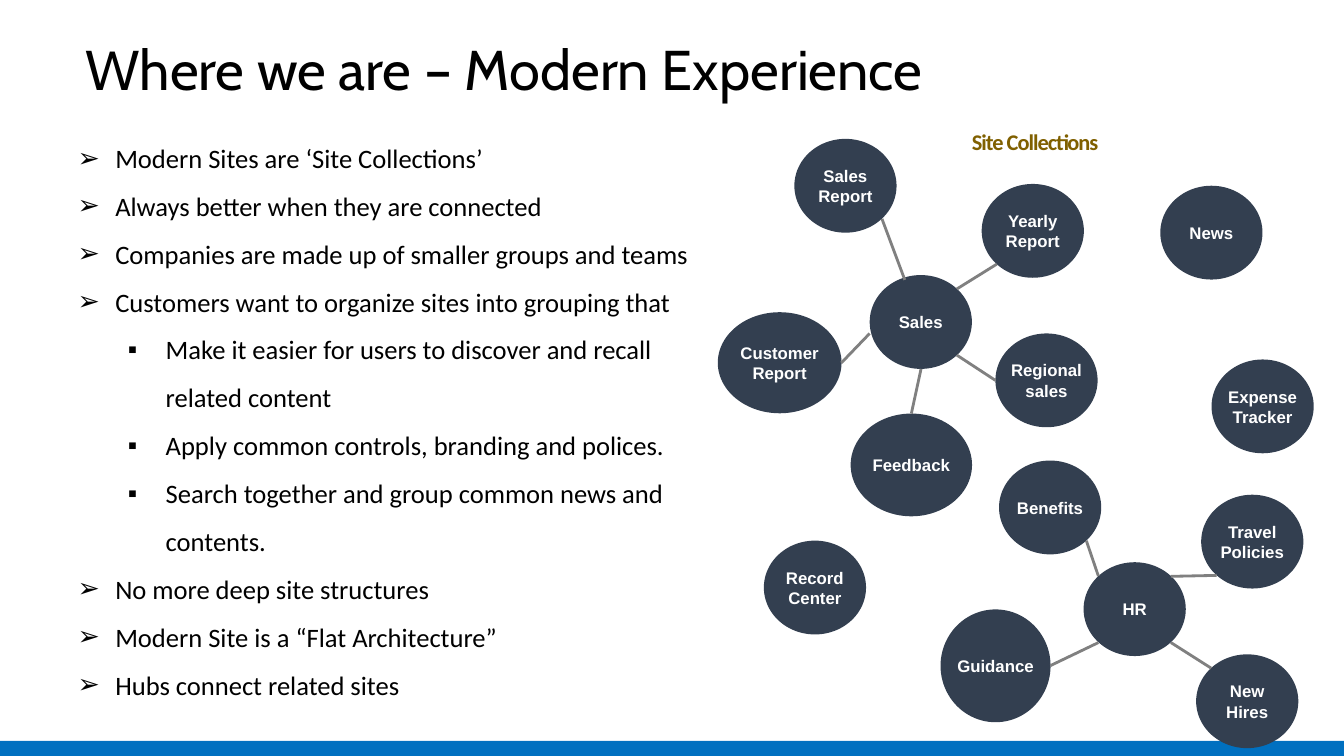
"""Build the slide on modern site collections and their hubs."""
from lxml import etree
from pptx import Presentation
from pptx.dml.color import RGBColor
from pptx.enum.shapes import MSO_CONNECTOR, MSO_SHAPE
from pptx.enum.text import MSO_ANCHOR, MSO_AUTO_SIZE, PP_ALIGN
from pptx.oxml.ns import qn
from pptx.util import Pt

BLACK = RGBColor(0x00, 0x00, 0x00)
WHITE = RGBColor(0xFF, 0xFF, 0xFF)
BLUE = RGBColor(0x00, 0x70, 0xC0)
NAVY = RGBColor(0x33, 0x3F, 0x50)
GREY = RGBColor(0x80, 0x80, 0x80)
GOLD = RGBColor(0x80, 0x60, 0x00)


def set_font(paragraph, name, size, color, bold=False):
    for run in paragraph.runs:
        run.font.name = name
        run.font.size = Pt(size)
        run.font.color.rgb = color
        run.font.bold = bold


def add_filled_shape(kind, left, top, width, height, color):
    shape = slide.shapes.add_shape(kind, Pt(left), Pt(top), Pt(width), Pt(height))
    shape.shadow.inherit = False
    shape.fill.solid()
    shape.fill.fore_color.rgb = color
    shape.line.fill.background()
    return shape


presentation = Presentation()
presentation.slide_width = Pt(960)
presentation.slide_height = Pt(540)
slide = presentation.slides.add_slide(presentation.slide_layouts[6])

add_filled_shape(MSO_SHAPE.RECTANGLE, 0, 529.2, 960, 10.8, BLUE)

title = slide.shapes.add_textbox(Pt(54), Pt(18), Pt(834), Pt(67.7))
title_frame = title.text_frame
title_frame.word_wrap = True
title_frame.vertical_anchor = MSO_ANCHOR.MIDDLE
title_frame.text = "Where we are – Modern Experience"
title_frame.paragraphs[0].line_spacing = 0.9
set_font(title_frame.paragraphs[0], "Cabin", 40, BLACK)

points = [
    (0, "Modern Sites are ‘Site Collections’"),
    (0, "Always better when they are connected"),
    (0, "Companies are made up of smaller groups and teams"),
    (0, "Customers want to organize sites into grouping that"),
    (1, "Make it easier for users to discover and recall related content"),
    (1, "Apply common controls, branding and polices."),
    (1, "Search together and group common news and contents."),
    (0, "No more deep site structures"),
    (0, "Modern Site is a “Flat Architecture”"),
    (0, "Hubs connect related sites"),
]
bullets = ["➢", "▪"]
indents = [27, 63]

body = slide.shapes.add_textbox(Pt(55.4), Pt(90), Pt(453.6), Pt(411))
body_frame = body.text_frame
body_frame.word_wrap = True
body_frame.auto_size = MSO_AUTO_SIZE.SHAPE_TO_FIT_TEXT
body_frame.margin_left = body_frame.margin_right = 0
body_frame.margin_top = body_frame.margin_bottom = 0
body_frame.text = "\n".join(text for level, text in points)
for paragraph, (level, text) in zip(body_frame.paragraphs, points):
    paragraph.level = level
    paragraph.line_spacing = 1.5
    properties = paragraph._p.get_or_add_pPr()
    properties.set("marL", str(Pt(indents[level])))
    properties.set("indent", str(-Pt(27)))
    etree.SubElement(properties, qn("a:buFont"), typeface="Arial")
    etree.SubElement(properties, qn("a:buChar"), char=bullets[level])
    set_font(paragraph, "Calibri", 19, BLACK)

sites = [
    ("Sales Report", 567.4, 99.2, 73, 67),
    ("Yearly Report", 701.2, 131.4, 73, 67),
    ("News", 828.8, 132.7, 73, 67),
    ("Regional sales", 711, 238.2, 73, 67),
    ("Customer Report", 512.7, 223, 88.4, 72.2),
    ("Feedback", 607.6, 295.4, 86.7, 73.4),
    ("Sales", 621.2, 196.5, 73, 67),
    ("Record Center", 545.6, 386.2, 73, 67),
    ("Expense Tracker", 865.4, 256.8, 73, 67),
    ("Benefits", 713.6, 329, 73, 67),
    ("Travel Policies", 858, 353.4, 73, 67),
    ("Guidance", 671.8, 435.3, 78.6, 80.6),
    ("New Hires", 854.4, 467.4, 73, 67),
    ("HR", 774, 401.6, 73, 67),
]
for name, left, top, width, height in sites:
    site = add_filled_shape(MSO_SHAPE.OVAL, left, top, width, height, NAVY)
    site_frame = site.text_frame
    site_frame.word_wrap = True
    site_frame.vertical_anchor = MSO_ANCHOR.MIDDLE
    site_frame.margin_left = site_frame.margin_right = 0
    site_frame.margin_top = site_frame.margin_bottom = Pt(3.6)
    site_frame.text = name
    site_frame.paragraphs[0].alignment = PP_ALIGN.CENTER
    set_font(site_frame.paragraphs[0], "Arial", 12, WHITE, bold=True)

hub_links = [
    (630, 156.4, 646.3, 199.9),
    (712, 188.7, 683.5, 206.4),
    (711, 271.7, 683.5, 253.7),
    (601, 259.2, 621.2, 238.2),
    (651, 295.4, 657.9, 263.5),
    (776, 386.3, 784.6, 411.5),
    (869, 411, 836.4, 411.7),
    (865.2, 477.3, 836.4, 459),
    (750.4, 475.4, 784.6, 459),
]
for start_x, start_y, end_x, end_y in hub_links:
    link = slide.shapes.add_connector(
        MSO_CONNECTOR.STRAIGHT, Pt(start_x), Pt(start_y), Pt(end_x), Pt(end_y)
    )
    link.line.color.rgb = GREY
    link.line.width = Pt(2)
    etree.SubElement(link._element.spPr, qn("a:effectLst"))

label = slide.shapes.add_textbox(Pt(694.2), Pt(91.5), Pt(90.5), Pt(19.5))
label_frame = label.text_frame
label_frame.word_wrap = False
label_frame.auto_size = MSO_AUTO_SIZE.SHAPE_TO_FIT_TEXT
label_frame.margin_left = label_frame.margin_right = 0
label_frame.margin_top = label_frame.margin_bottom = 0
label_frame.text = "Site Collections"
set_font(label_frame.paragraphs[0], "Calibri", 16, GOLD, bold=True)
label_frame.paragraphs[0].runs[0]._r.get_or_add_rPr().set("spc", "-70")

presentation.save("out.pptx")
